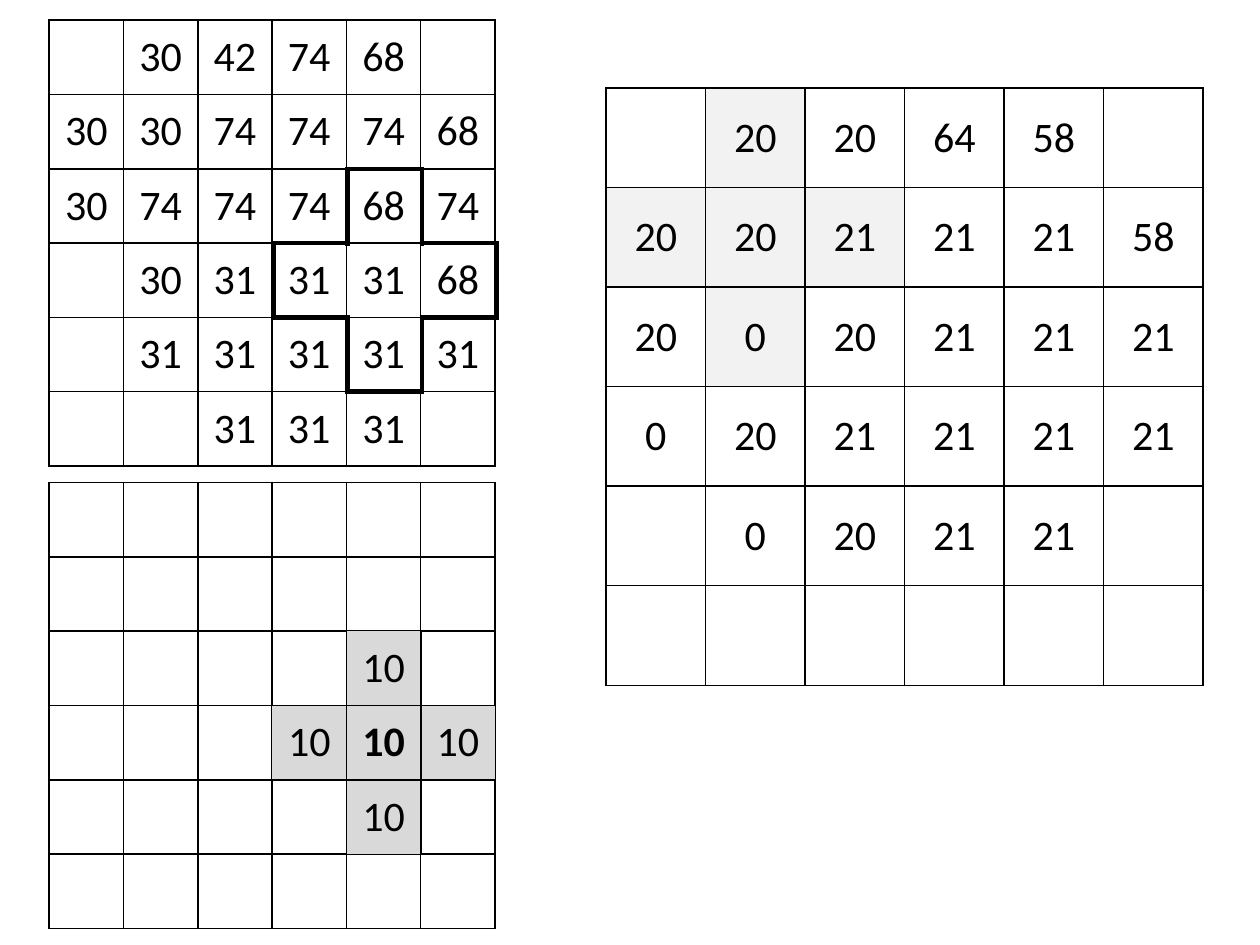
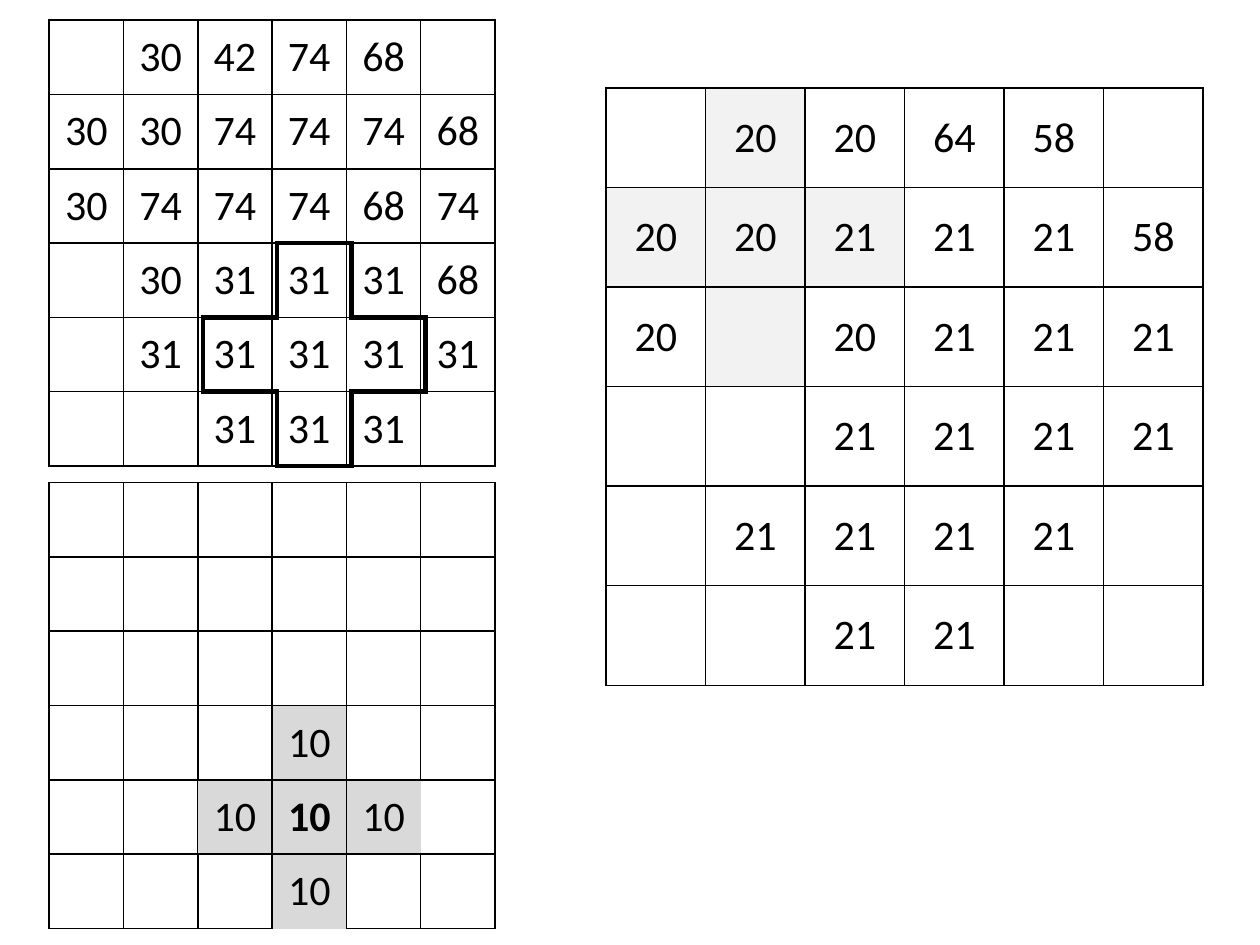
from lxml import etree
from pptx import Presentation
from pptx.dml.color import RGBColor
from pptx.enum.text import MSO_ANCHOR, PP_ALIGN
from pptx.oxml.ns import qn
from pptx.util import Inches, Pt

CENTER = PP_ALIGN.CENTER
MIDDLE = MSO_ANCHOR.MIDDLE
BLACK = RGBColor(0x00, 0x00, 0x00)
PALE = RGBColor(0xF2, 0xF2, 0xF2)
GREY = RGBColor(0xD9, 0xD9, 0xD9)
FONT = "Calibri"
NO_STYLE = "{2D5ABB26-0587-4C30-8999-92F81FD0307C}"
SIDES = {"L": (0, -1), "R": (0, 1), "T": (-1, 0), "B": (1, 0)}

CELL = 0.59
WIDE = 0.79
LEFT = 0.39
TOP = 0.16
LOW = 3.83
SUM_AT = (4.81, 0.7)

BLANK = [["."] * 6] * 6
HOLE = [["."] * 3] * 3
KERNEL = [
    [".", "10", "."],
    ["10", "10", "10"],
    [".", "10", "."],
]
SOURCE = """
.  30 42 74 68 .
30 30 74 74 74 68
30 74 74 74 68 74
.  30 31 31 31 68
.  31 31 31 31 31
.  .  31 31 31 .
"""
FIRST = """
.  20 20 64 58 .
20 20 21 21 21 58
20 0  20 21 21 21
0  20 21 21 21 21
.  0  20 21 21 .
.  .  .  .  .  .
"""
SECOND = """
.  20 20 64 58 .
20 20 21 21 21 58
20 .  20 21 21 21
.  .  21 21 21 21
.  21 21 21 21 .
.  .  21 21 .  .
"""


def parse_rows(text):
    """Split a block of text into rows of cell values."""
    return [line.split() for line in text.strip().splitlines()]


def in_cross(row, col):
    """Tell whether a cell belongs to the cross centred on (1, 1)."""
    return abs(row - 1) + abs(col - 1) <= 1


def all_edges(cell, near):
    """Rule every edge."""
    return True


def inner_edges(cell, near):
    """Rule only the edges between two cells of a 3 by 3 table."""
    return all(0 <= place <= 2 for place in near)


def cross_edges(cell, near):
    """Rule the outline of the cross."""
    return in_cross(*cell) != in_cross(*near)


def add_edge(cell, side, width):
    """Add one cell border; a zero width hides it."""
    line = etree.SubElement(cell._tc.get_or_add_tcPr(), qn(f"a:ln{side}"))
    if width:
        line.set("w", str(Pt(width)))
        fill = etree.SubElement(line, qn("a:solidFill"))
        etree.SubElement(fill, qn("a:srgbClr")).set("val", str(BLACK))
    else:
        etree.SubElement(line, qn("a:noFill"))


def set_value(cell, value, bold):
    """Write a centred number in a cell."""
    cell.text_frame.text = value
    cell.vertical_anchor = MIDDLE
    para = cell.text_frame.paragraphs[0]
    para.alignment = CENTER
    font = para.runs[0].font
    font.name, font.size, font.bold = FONT, Pt(24), bold
    font.color.rgb = BLACK


def add_grid(slide, at, rows, size, tint=None, rule=all_edges, width=1, heart=None):
    """Add a table of square cells with a tinted cross and ruled edges."""
    left, top = at
    high, wide = len(rows), len(rows[0])
    frame = slide.shapes.add_table(
        high, wide, Inches(left), Inches(top), Inches(size * wide), Inches(size * high)
    )
    table = frame.table
    table.first_row = table.horz_banding = False
    table._tbl.tblPr.find(qn("a:tableStyleId")).text = NO_STYLE
    for line in (*table.rows,):
        line.height = Inches(size)
    for line in (*table.columns,):
        line.width = Inches(size)
    for row, values in enumerate(rows):
        for col, value in enumerate(values):
            cell = table.cell(row, col)
            for side, (down, right) in SIDES.items():
                ruled = rule((row, col), (row + down, col + right))
                add_edge(cell, side, width if ruled else 0)
            if tint is not None and in_cross(row, col):
                cell.fill.solid()
                cell.fill.fore_color.rgb = tint
            else:
                cell.fill.background()
            if value != ".":
                set_value(cell, value, (row, col) == heart)


def add_step(deck, sums, row, col, nudge):
    """Add a slide with the window placed at a row and column of the source."""
    slide = deck.slides.add_slide(deck.slide_layouts[6])
    left, down = LEFT + col * CELL, row * CELL
    add_grid(slide, SUM_AT, parse_rows(sums), WIDE, PALE)
    add_grid(slide, (LEFT, LOW), BLANK, CELL)
    add_grid(slide, (left, LOW + down), KERNEL, CELL, GREY, inner_edges, heart=(1, 1))
    add_grid(slide, (LEFT, TOP), parse_rows(SOURCE), CELL)
    add_grid(slide, (left + nudge, TOP + down), HOLE, CELL, rule=cross_edges, width=3)


def main():
    """Build both steps and save them."""
    deck = Presentation()
    deck.slide_width, deck.slide_height = Inches(10), Inches(7.5)
    add_step(deck, FIRST, row=2, col=3, nudge=0.01)
    add_step(deck, SECOND, row=3, col=2, nudge=0.04)
    deck.save("out.pptx")


if __name__ == "__main__":
    main()
